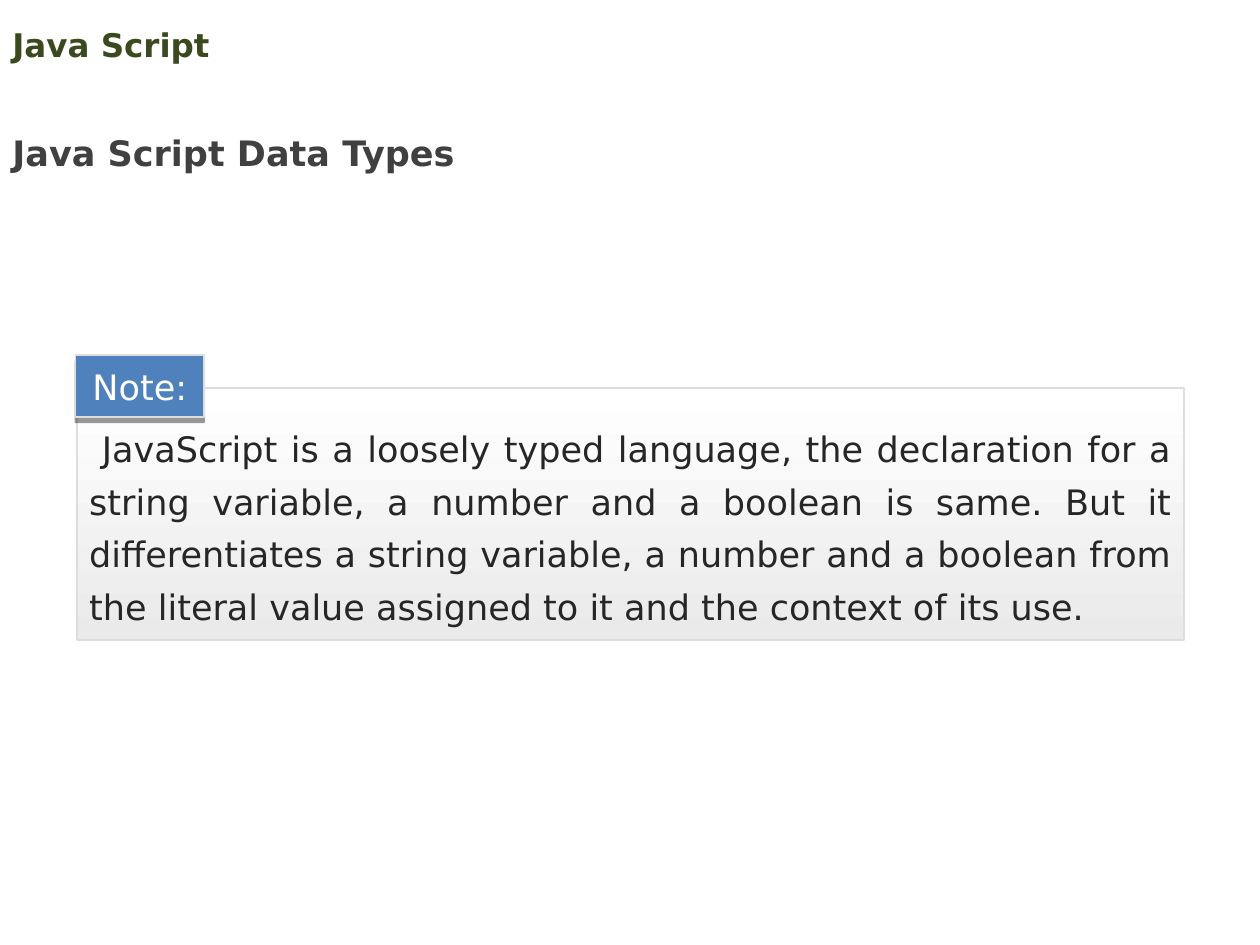
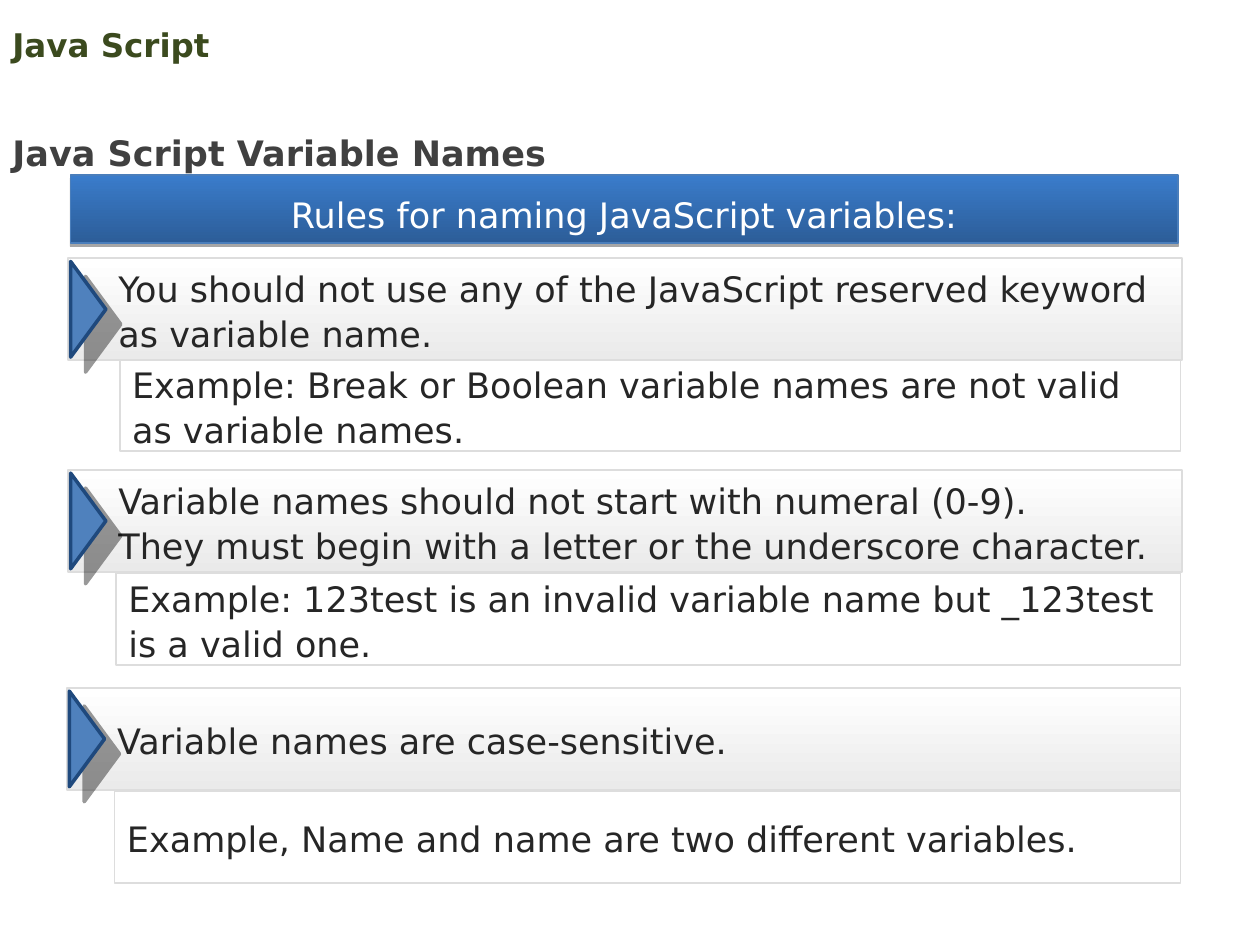
from lxml import etree
from pptx import Presentation
from pptx.dml.color import RGBColor
from pptx.enum.shapes import MSO_SHAPE as Shape
from pptx.enum.text import MSO_ANCHOR as Anchor, PP_ALIGN as Align
from pptx.oxml.ns import qn
from pptx.util import Inches, Pt

# Content
COURSE = "Java Script"
TYPES_TITLE = "Java Script Data Types"
NOTE_LABEL = "Note:"
NOTE = (
    "JavaScript is a loosely typed language, the declaration for a string variable, "
    "a number and a boolean is same. But it differentiates a string variable, a number "
    "and a boolean from the literal value assigned to it and the context of its use."
)
NAMES_TITLE = "Java Script Variable Names"
RULES_HEADING = "Rules for naming JavaScript variables:"
# Each rule: band (left, top), rule lines, example (left, top), example text
RULES = [
    ((0.54, 2.05),
     ["You should not use any of the JavaScript reserved keyword as variable name."],
     (0.95, 2.85),
     "Example: Break or Boolean variable names are not valid as variable names."),
    ((0.54, 3.73),
     ["Variable names should not start with numeral (0-9).",
      "They must begin with a letter or the underscore character."],
     (0.92, 4.55),
     "Example: 123test is an invalid variable name but _123test is a valid one."),
    ((0.53, 5.46),
     ["Variable names are case-sensitive."],
     (0.91, 6.28),
     "Example, Name and name are two different variables."),
]

# Shared style
FONT = "DejaVu Sans"
OLIVE, GRAY, INK, WHITE = "3B4A1E", "404040", "262626", "FFFFFF"
BLUE, NAVY, BORDER = "4F81BD", "1F497D", "DDDDDD"
PALE_FADE, BLUE_FADE = (WHITE, "EAEAEA"), ("3A7CCB", "2C5D98")
BAND_WIDTH, BAND_HEIGHT = 8.84, 0.81
EXAMPLE_RIGHT, EXAMPLE_HEIGHT = 9.37, 0.73
ARROW_LENGTH, ARROW_SPREAD = 0.28, 0.76


def rgb(value):
    return RGBColor.from_string(value)


def write(shape, lines, color=INK, size=20, bold=False, align=Align.LEFT,
          anchor=Anchor.MIDDLE, spacing=None, insets=(0.1, 0.1, 0.1, 0.1)):
    frame = shape.text_frame
    frame.word_wrap = True
    frame.vertical_anchor = anchor
    (frame.margin_left, frame.margin_top,
     frame.margin_right, frame.margin_bottom) = map(Inches, insets)
    for index, line in enumerate(lines):
        paragraph = frame.add_paragraph() if index else frame.paragraphs[0]
        paragraph.alignment = align
        paragraph.line_spacing = spacing
        run = paragraph.add_run()
        run.text = line
        run.font.name, run.font.size, run.font.bold = FONT, Pt(size), bold
        run.font.color.rgb = rgb(color)


def add_text(slide, box, line, **style):
    shape = slide.shapes.add_textbox(*map(Inches, box))
    write(shape, [line], insets=(0.1, 0.05, 0.1, 0.05), **style)


def add_box(shapes, box, fill=None, line=BORDER, width=1, kind=Shape.RECTANGLE, shadow=None):
    """fill: None, one colour, or (top, bottom); shadow: (opacity %, distance pt, angle)."""
    shape = shapes.add_shape(kind, *map(Inches, box))
    shape.shadow.inherit = False
    if fill is None:
        shape.fill.background()
    elif isinstance(fill, tuple):
        shape.fill.gradient()
        shape.fill.gradient_angle = 270
        for stop, color in zip(shape.fill.gradient_stops, fill):
            stop.color.rgb = rgb(color)
    else:
        shape.fill.solid()
        shape.fill.fore_color.rgb = rgb(fill)
    shape.line.color.rgb = rgb(line)
    shape.line.width = Pt(width)
    if shadow:
        opacity, distance, angle = shadow
        effects = shape._element.spPr.find(qn("a:effectLst"))
        outer = etree.SubElement(effects, qn("a:outerShdw"), blurRad="0",
                                 dist=str(Pt(distance)), dir=str(angle * 60000),
                                 rotWithShape="0")
        color = etree.SubElement(outer, qn("a:srgbClr"), val="000000")
        etree.SubElement(color, qn("a:alpha"), val=str(opacity * 1000))
    return shape


def add_titled_slide(presentation, title):
    slide = presentation.slides.add_slide(presentation.slide_layouts[6])
    add_text(slide, (0, 0.14, 9, 0.43), COURSE, color=OLIVE, size=18.6, bold=True)
    add_text(slide, (0, 0.83, 5.76, 0.6), title, color=GRAY, bold=True,
             anchor=Anchor.TOP, spacing=1.5)
    return slide


def add_note(slide):
    shapes = slide.shapes.add_group_shape().shapes
    panel = add_box(shapes, (0.61, 3.08, 8.79, 2), PALE_FADE)
    write(panel, [NOTE], align=Align.JUSTIFY, anchor=Anchor.BOTTOM, spacing=Pt(30))
    # First-line indent
    properties = panel.text_frame.paragraphs[0]._p.get_or_add_pPr()
    properties.set("indent", str(Inches(0.1)))
    label = add_box(shapes, (0.6, 2.82, 1.02, 0.49), BLUE, shadow=(40, 3, 90))
    write(label, [NOTE_LABEL], color=WHITE, align=Align.CENTER, insets=(0, 0, 0, 0))


def add_rule(slide, band_at, lines, example_at, example):
    left, top = example_at
    example_box = add_box(slide.shapes, (left, top, EXAMPLE_RIGHT - left, EXAMPLE_HEIGHT))
    write(example_box, [example], spacing=Pt(26))

    left, top = band_at
    shapes = slide.shapes.add_group_shape().shapes
    band = add_box(shapes, (left, top, BAND_WIDTH, BAND_HEIGHT), PALE_FADE)
    write(band, lines, spacing=Pt(26), insets=(0.4, 0.1, 0.1, 0.1))

    # Triangle turned to point right, centred on the band's left end
    center_x, center_y = left + 0.16, top + BAND_HEIGHT / 2
    arrow = add_box(shapes, (center_x - ARROW_SPREAD / 2, center_y - ARROW_LENGTH / 2,
                             ARROW_SPREAD, ARROW_LENGTH),
                    BLUE, NAVY, 2, Shape.ISOSCELES_TRIANGLE, shadow=(40, 12.1, 45))
    arrow.rotation = 90


def main():
    presentation = Presentation()
    presentation.slide_width, presentation.slide_height = Inches(10), Inches(7.5)

    # Data types
    add_note(add_titled_slide(presentation, TYPES_TITLE))

    # Variable names
    slide = add_titled_slide(presentation, NAMES_TITLE)
    heading = add_box(slide.shapes, (0.56, 1.39, 8.79, 0.54), BLUE_FADE, "4A7EBB", 0.75,
                      shadow=(35, 1.8, 90))
    write(heading, [RULES_HEADING], color=WHITE, align=Align.CENTER, spacing=Pt(30))
    for rule in RULES:
        add_rule(slide, *rule)

    presentation.save("out.pptx")


if __name__ == "__main__":
    main()
